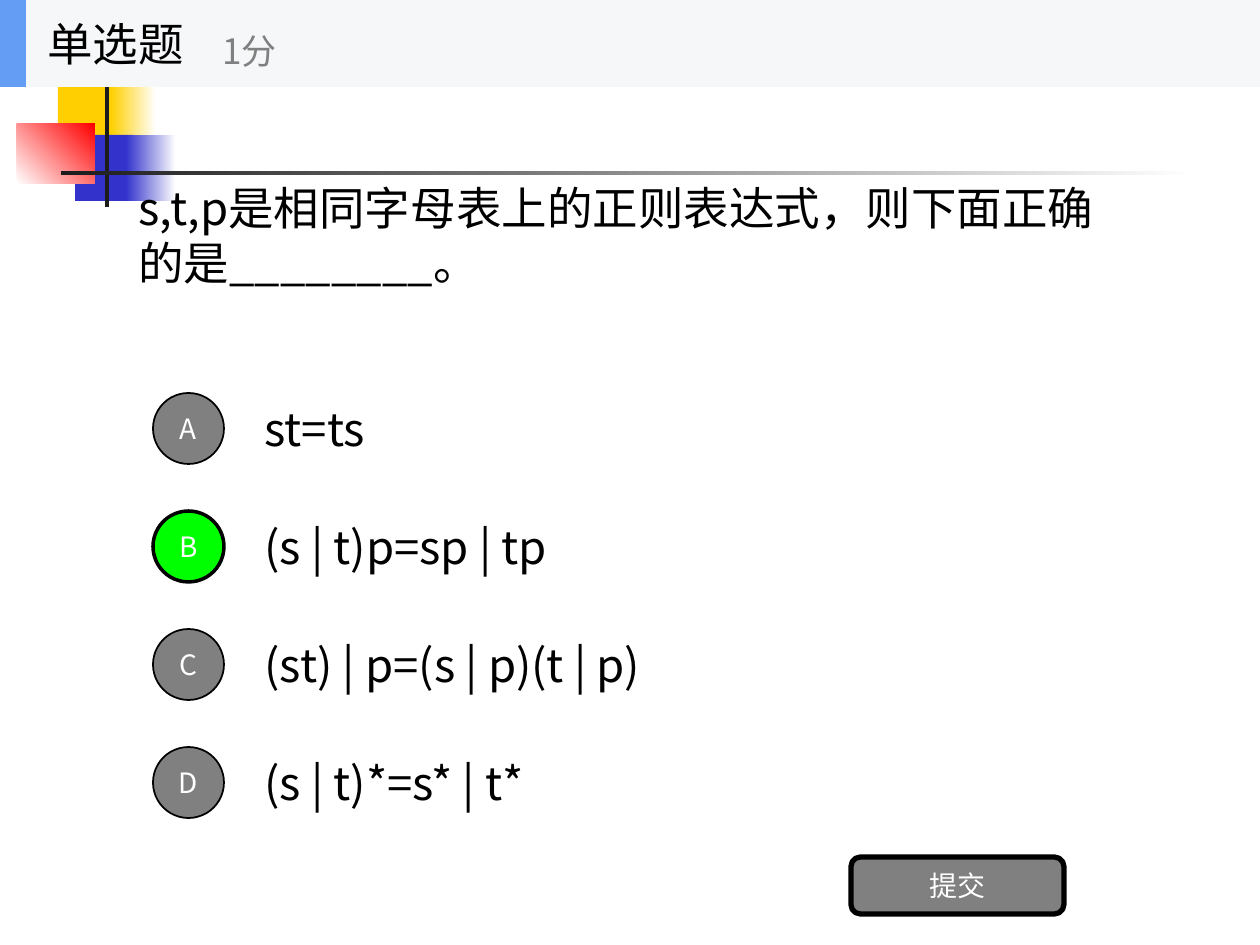
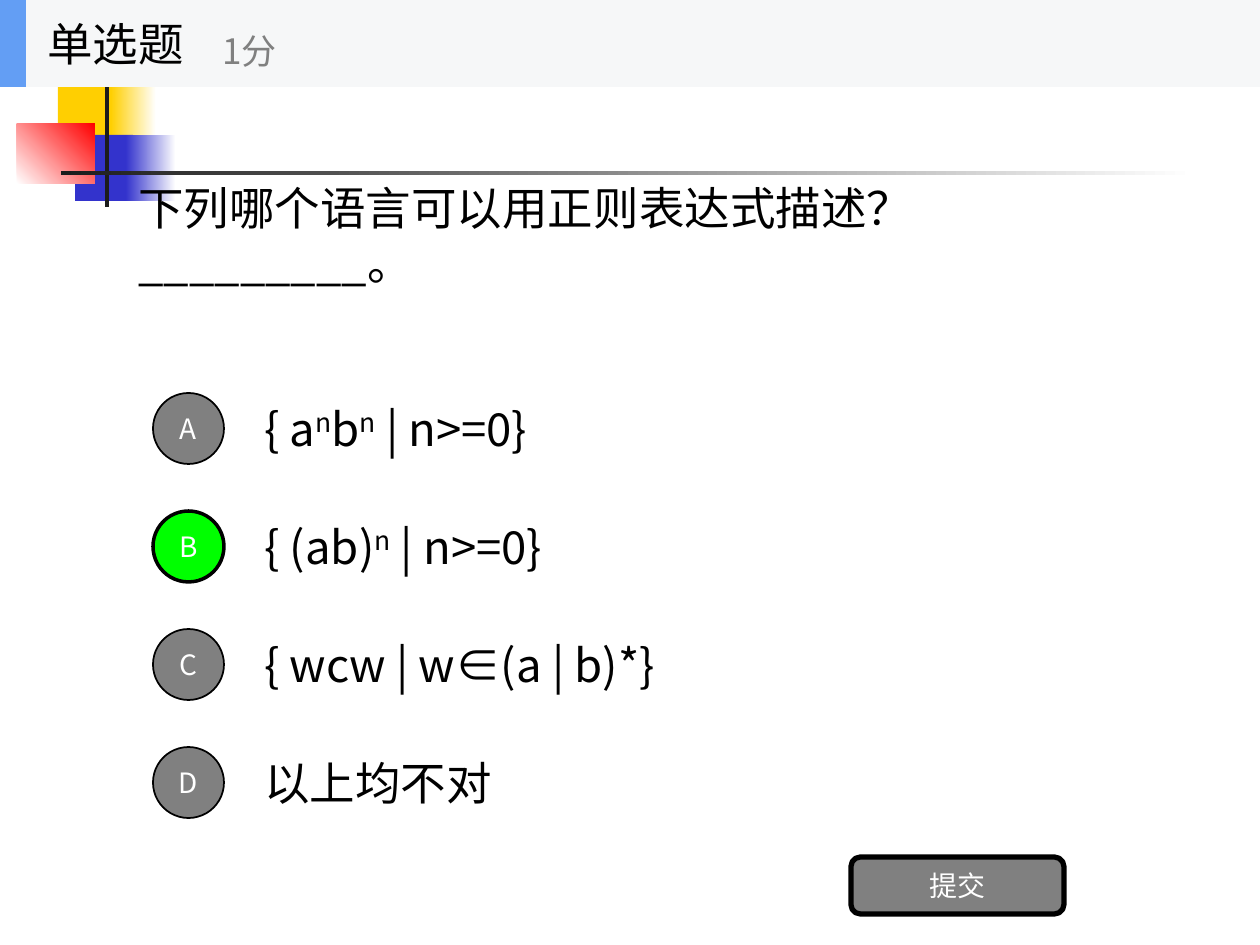
from lxml import etree
from pptx import Presentation
from pptx.dml.color import RGBColor
from pptx.enum.shapes import MSO_SHAPE
from pptx.enum.text import MSO_ANCHOR, PP_ALIGN
from pptx.oxml.ns import qn
from pptx.util import Pt

PX = 914400 / 126
WIDE, HIGH = 1260, 945
FONT = "Noto Sans CJK SC"

RECT, OVAL, ROUND = MSO_SHAPE.RECTANGLE, MSO_SHAPE.OVAL, MSO_SHAPE.ROUNDED_RECTANGLE
MIDDLE = MSO_ANCHOR.MIDDLE
LEFT, CENTER = PP_ALIGN.LEFT, PP_ALIGN.CENTER

BLACK = RGBColor(0, 0, 0)
WHITE = RGBColor(255, 255, 255)
GRAY = RGBColor(0x80, 0x80, 0x80)
GREEN = RGBColor(0, 255, 0)
YELLOW = RGBColor(0xFF, 0xCF, 0x01)
NAVY = RGBColor(0x33, 0x33, 0xCC)
RED = RGBColor(255, 0, 0)
INK = RGBColor(0x1C, 0x1C, 0x1C)
PALE = RGBColor(0xF6, 0xF7, 0xF8)
BLUE = RGBColor(0x63, 0x9E, 0xF4)

FIRST, STEP = 384, 118  # top of the first option, distance to the next

# Question, options (text between ^ marks is raised), right answer
QUIZ = [
    ("s,t,p是相同字母表上的正则表达式，则下面正确的是________。",
     ["st=ts", "(s | t)p=sp | tp", "(st) | p=(s | p)(t | p)", "(s | t)*=s* | t*"],
     "B"),
    ("下列哪个语言可以用正则表达式描述？_________。",
     ["{ a^n^b^n^ | n>=0}", "{ (ab)^n^ | n>=0}", "{ wcw | w∈(a | b)*}", "以上均不对"],
     "B"),
]


def emu(*box):
    return [round(n * PX) for n in box]


def write(frame, text, size=26, color=BLACK, align=LEFT, wrap=True):
    """Fill a text frame; parts between ^ marks become superscript."""
    frame.word_wrap = wrap
    frame.vertical_anchor = MIDDLE
    para = frame.paragraphs[0]
    para.alignment = align
    for i, part in enumerate(text.split("^")):
        if not part:
            continue
        run = para.add_run()
        run.text = part
        run.font.size = Pt(size)
        run.font.name = FONT
        run.font.color.rgb = color
        props = run._r.get_or_add_rPr()
        etree.SubElement(props, qn("a:ea")).set("typeface", FONT)
        if i % 2:
            props.set("baseline", "30000")


def label(slide, box, text, **style):
    write(slide.shapes.add_textbox(*emu(*box)).text_frame, text, **style)


def block(slide, box, fill, kind=RECT, fade=None, angle=0, line=0):
    """Add a shape; fade is the end colour of a gradient, line a width in points."""
    shape = slide.shapes.add_shape(kind, *emu(*box))
    shape.shadow.inherit = False
    if fade is None:
        shape.fill.solid()
        shape.fill.fore_color.rgb = fill
    else:
        shape.fill.gradient()
        shape.fill.gradient_angle = angle
        for stop, color in zip(shape.fill.gradient_stops, (fill, fade)):
            stop.color.rgb = color
    if line:
        shape.line.color.rgb = BLACK
        shape.line.width = Pt(line)
    else:
        shape.line.fill.background()
    return shape


def button(slide, box, text, kind, fill=GRAY, line=1):
    shape = block(slide, box, fill, kind, line=line)
    write(shape.text_frame, text, size=16, color=WHITE, align=CENTER, wrap=False)


def motif(slide):
    """Draw the coloured squares and the crossing lines."""
    block(slide, (58, 77, 60, 66), YELLOW)
    block(slide, (111, 77, 45, 66), YELLOW, fade=WHITE)
    block(slide, (75, 135, 58, 66), NAVY)
    block(slide, (126, 135, 50, 66), NAVY, fade=WHITE)
    block(slide, (17, 124, 78, 60), WHITE, fade=RED, angle=45)
    block(slide, (105, 62, 4, 145), INK)
    block(slide, (61, 171, 1134, 4), INK, fade=WHITE)


def header(slide):
    block(slide, (0, 0, WIDE, 87), PALE)
    block(slide, (0, 0, 26, 87), BLUE)
    label(slide, (35, 0, 262, 87), "单选题")
    label(slide, (210, 15, 315, 71), "1分", size=20, color=GRAY)


def choices(slide, texts, right):
    for i, text in enumerate(texts):
        label(slide, (252, FIRST + i * STEP, 882, 88), text)
    for i, mark in enumerate("ABCD"[:len(texts)]):
        hit = mark == right
        button(slide, (153, FIRST + 9 + i * STEP, 71, 71), mark, OVAL,
               fill=GREEN if hit else GRAY, line=2 if hit else 1)


def main():
    deck = Presentation()
    deck.slide_width, deck.slide_height = emu(WIDE, HIGH)
    for question, texts, right in QUIZ:
        slide = deck.slides.add_slide(deck.slide_layouts[6])
        motif(slide)
        label(slide, (126, 87, 1008, 295), question)
        choices(slide, texts, right)
        button(slide, (851, 857, 213, 57), "提交", ROUND, line=3)
        header(slide)
    deck.save("out.pptx")


if __name__ == "__main__":
    main()
